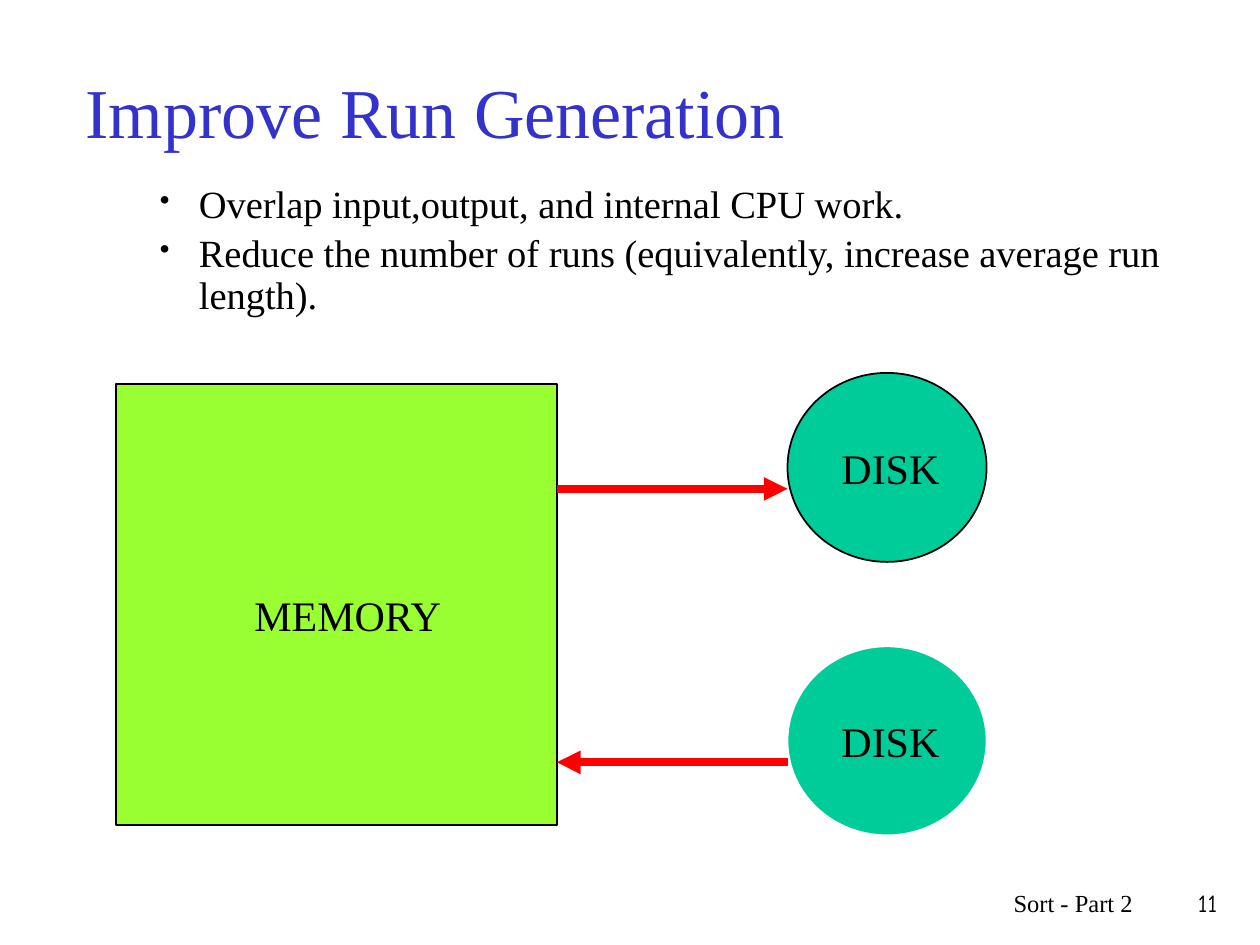
from lxml.etree import SubElement
from pptx import Presentation
from pptx.dml.color import RGBColor
from pptx.enum.shapes import MSO_CONNECTOR as Line, MSO_SHAPE as Shape
from pptx.enum.text import MSO_ANCHOR as Anchor, PP_ALIGN as Align
from pptx.oxml.ns import qn
from pptx.util import Inches, Pt

BLACK, WHITE, RED = "000000", "FFFFFF", "FF0000"
BLUE, LIME, TEAL = "3333CC", "99FF33", "00CC99"


def color(code):
    return RGBColor.from_string(code)


def add_bullet(para):
    props = para._p.get_or_add_pPr()
    props.set("marL", str(Inches(0.81)))
    props.set("indent", str(Inches(-0.31)))
    tint = SubElement(props, qn("a:buClr"))
    SubElement(tint, qn("a:srgbClr"), val=BLACK)
    SubElement(props, qn("a:buSzPct"), val="75000")
    SubElement(props, qn("a:buChar"), char="•")


class Deck:
    face = "Times New Roman"

    def __init__(self):
        self.prs = Presentation()
        self.prs.slide_width, self.prs.slide_height = Inches(10), Inches(7.5)
        self.slide = self.prs.slides.add_slide(self.prs.slide_layouts[5])
        self.shapes = self.slide.shapes

    def style(self, para, size, code=BLACK, face=None):
        font = para.font
        font.name, font.size = face or self.face, Pt(size)
        font.color.rgb = color(code)

    def title(self, text, *box):
        title = self.shapes.title
        title.left, title.top, title.width, title.height = map(Inches, box)
        frame = title.text_frame
        frame.text = text
        frame.vertical_anchor = Anchor.MIDDLE
        para = frame.paragraphs[0]
        para.alignment = Align.LEFT
        self.style(para, 40, BLUE)

    def frame(self, *box):
        frame = self.shapes.add_textbox(*map(Inches, box)).text_frame
        frame.word_wrap = True
        return frame

    def text(self, text, *box, size=24, align=Align.LEFT, face=None):
        para = self.frame(*box).paragraphs[0]
        para.text, para.alignment = text, align
        self.style(para, size, face=face)

    def bullets(self, items, *box):
        frame = self.frame(*box)
        for i, item in enumerate(items):
            para = frame.add_paragraph() if i else frame.paragraphs[0]
            para.text = item
            add_bullet(para)
            para.line_spacing = 0.9
            if i:
                para.space_before = Pt(4.4)
            self.style(para, 22)

    def shape(self, kind, fill, line, *box):
        shape = self.shapes.add_shape(kind, *map(Inches, box))
        shape.shadow.inherit = False
        shape.fill.solid()
        shape.fill.fore_color.rgb = color(fill)
        shape.line.color.rgb = color(line)
        shape.line.width = Pt(1)

    def arrow(self, start, stop, y):
        ends = map(Inches, (start, y, stop, y))
        link = self.shapes.add_connector(Line.STRAIGHT, *ends)
        link.line.color.rgb = color(RED)
        link.line.width = Pt(4.5)
        SubElement(link.line._get_or_add_ln(), qn("a:tailEnd"), type="triangle")
        SubElement(link._element.spPr, qn("a:effectLst"))


def main():
    deck = Deck()
    deck.title("Improve Run Generation", 0.58, 0.25, 8.5, 1.25)
    deck.bullets(
        ["Overlap input,output, and internal CPU work.",
         "Reduce the number of runs (equivalently, increase average run length)."],
        0.67, 1.42, 8.75, 1.17)

    deck.shape(Shape.RECTANGLE, LIME, BLACK, 0.92, 3.05, 3.5, 3.5)
    deck.text("MEMORY", 1.92, 4.63, 1.75, 0.5)

    memory, disk = 4.42, 6.25  # facing edges
    for top, line, start, stop in ((2.96, BLACK, memory, disk),
                                   (5.13, WHITE, disk, memory)):
        deck.shape(Shape.OVAL, TEAL, line, disk, top, 1.58, 1.5)
        deck.text("DISK", 6.58, top + 0.5, 1.33, 0.5)
        deck.arrow(start, stop, top + 0.92)

    deck.text("Sort - Part 2", 5.92, 7, 3.17, 0.5, size=14, align=Align.RIGHT)
    deck.text("11", 9.08, 7, 0.68, 0.5, size=14, align=Align.RIGHT,
              face="Comic Neue")
    deck.prs.save("out.pptx")


if __name__ == "__main__":
    main()
